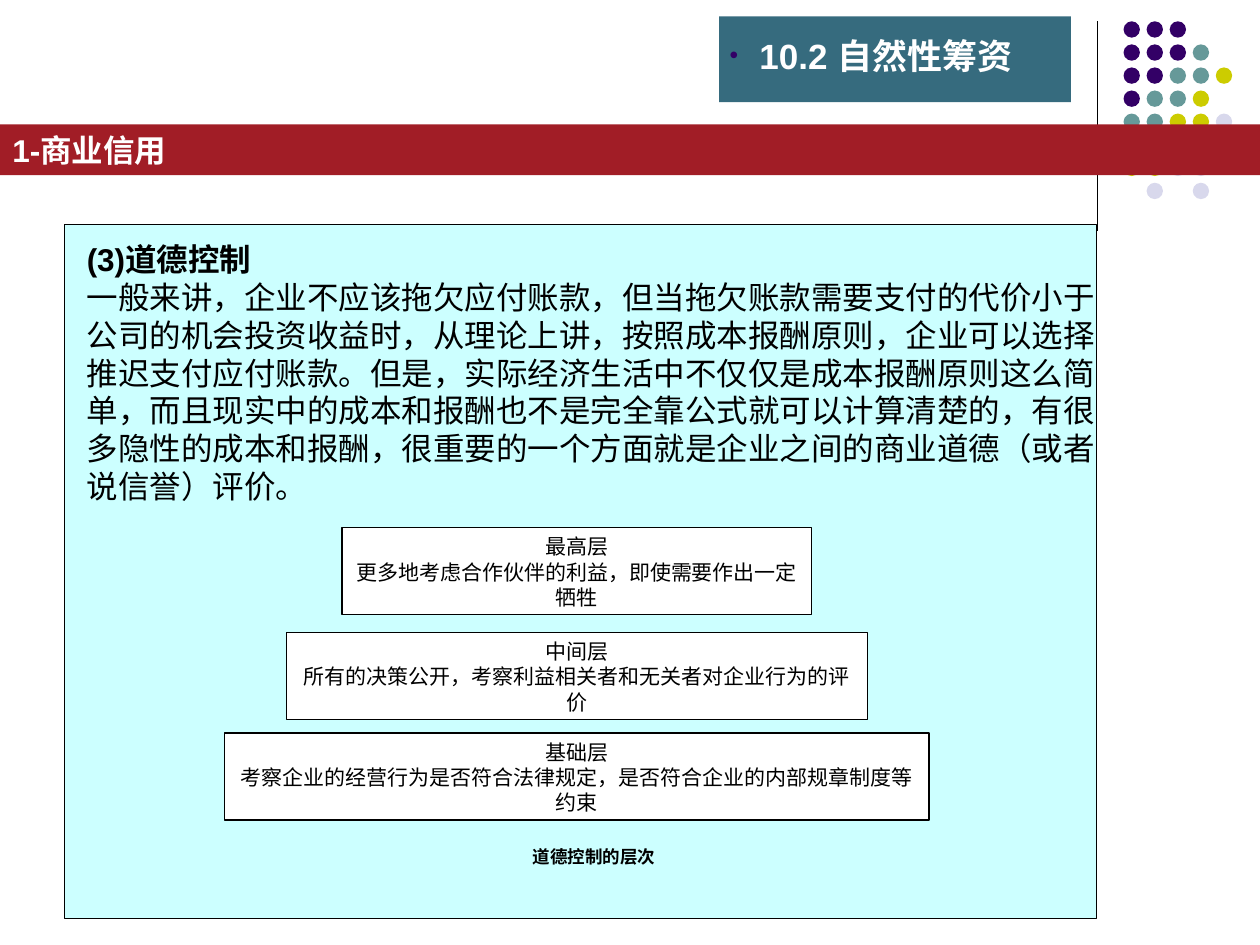
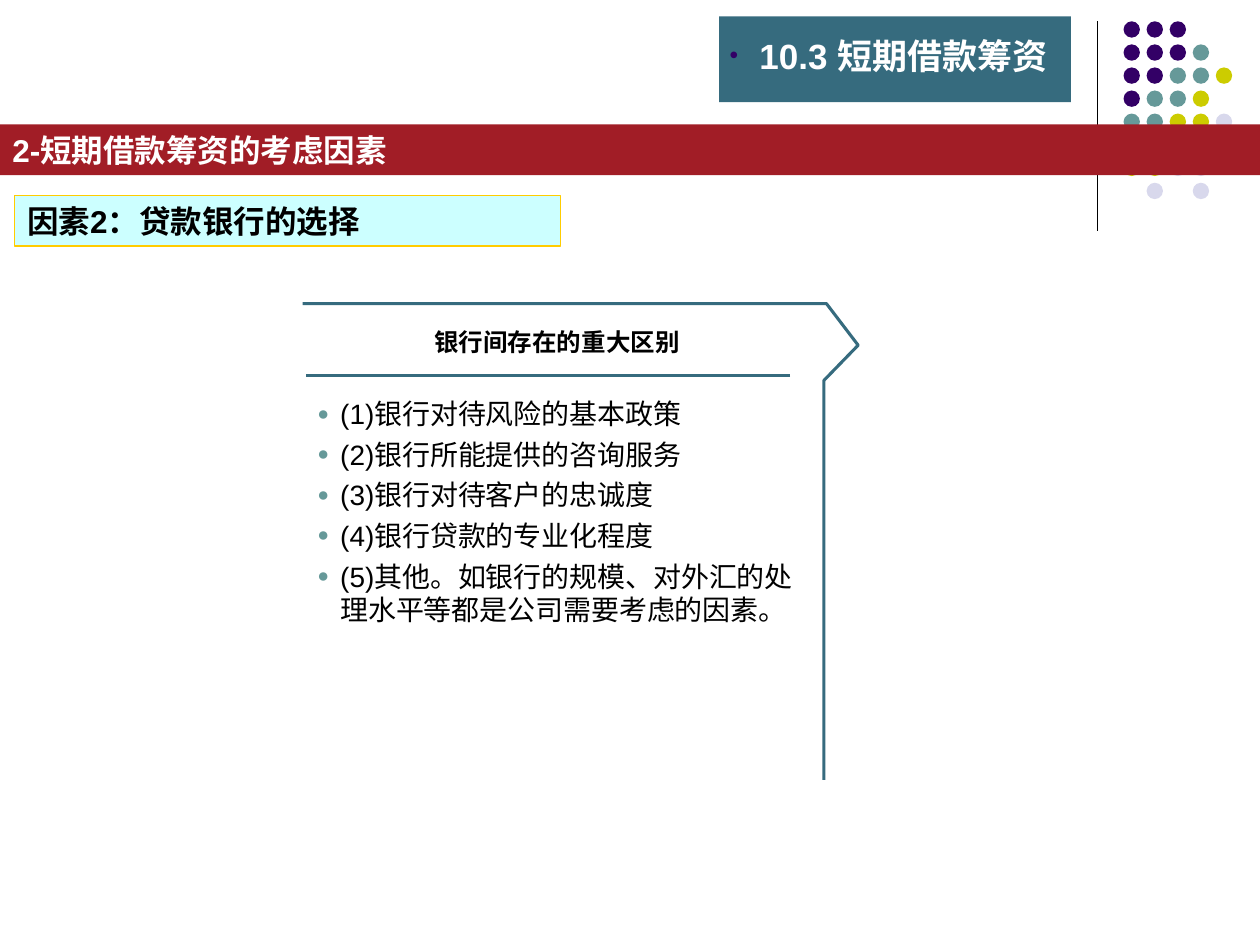
from typing import NamedTuple, Optional

from lxml.etree import SubElement
from pptx import Presentation
from pptx.dml.color import RGBColor
from pptx.enum.shapes import MSO_CONNECTOR, MSO_SHAPE
from pptx.enum.text import MSO_ANCHOR, PP_ALIGN
from pptx.oxml.ns import qn
from pptx.util import Cm, Pt

PURPLE = RGBColor(0x33, 0x00, 0x66)
TEAL = RGBColor(0x66, 0x99, 0x99)
LIME = RGBColor(0xCC, 0xCC, 0x00)
LAVENDER = RGBColor(0xD8, 0xD8, 0xEC)
CRIMSON = RGBColor(0xA1, 0x1D, 0x26)
PETROL = RGBColor(0x36, 0x6B, 0x7E)
PALE_CYAN = RGBColor(0xCC, 0xFF, 0xFF)
GOLD = RGBColor(0xFF, 0xCC, 0x00)
BLACK = RGBColor(0x00, 0x00, 0x00)
WHITE = RGBColor(0xFF, 0xFF, 0xFF)

SANS = "Arial"
SERIF = "Times New Roman"

# Corner dots: one string per row, one letter per dot
DOT_COLOURS = {"P": PURPLE, "T": TEAL, "Y": LIME, "L": LAVENDER}
DOT_ROWS = ["PPP", "PPPT", "PPTTY", "PTTY", "TTYYL", "", "YYLL", " L L"]
DOT_LEFT, DOT_TOP, DOT_STEP, DOT_SIZE = 22.65, 0.43, 0.465, 0.33


class Box(NamedTuple):
    """Position and size in centimetres."""
    left: float
    top: float
    width: float
    height: float

    def lengths(self) -> list:
        return [Cm(value) for value in self]


class Style(NamedTuple):
    size: float
    colour: RGBColor = BLACK
    bold: bool = False
    font: str = SANS
    align: PP_ALIGN = PP_ALIGN.LEFT


class Bullet(NamedTuple):
    char: str
    colour: RGBColor
    indent: float


class Level(NamedTuple):
    """One layer of the moral control pyramid."""
    name: str
    duty: str
    top: float
    width: float


BADGE = Box(14.5, 0.33, 7.09, 1.73)
BADGE_TITLE = Box(14.71, 0.69, 6.99, 0.84)
BAND = Box(0, 2.51, 25.4, 1.02)
BADGE_STYLE = Style(20, WHITE, bold=True)
BAND_STYLE = Style(18, WHITE, bold=True)
HEADING_STYLE = Style(18, bold=True)
BODY_STYLE = Style(18)
LEVEL_STYLE = Style(12, font=SERIF, align=PP_ALIGN.CENTER)
CAPTION_STYLE = Style(10, bold=True, font=SERIF, align=PP_ALIGN.CENTER)
BANNER_STYLE = Style(14, bold=True, align=PP_ALIGN.CENTER)
LIST_STYLE = Style(16)

LEVEL_CENTRE, LEVEL_HEIGHT = 11.63, 1.75
LEVELS = [
    Level("最高层", "更多地考虑合作伙伴的利益，即使需要作出一定牺牲", 10.64, 9.47),
    Level("中间层", "所有的决策公开，考察利益相关者和无关者对企业行为的评价", 12.75, 11.71),
    Level("基础层", "考察企业的经营行为是否符合法律规定，是否符合企业的内部规章制度等约束",
          14.78, 14.2),
]
MORAL_CONTROL = (
    "一般来讲，企业不应该拖欠应付账款，但当拖欠账款需要支付的代价小于公司的机会投资收益时，"
    "从理论上讲，按照成本报酬原则，企业可以选择推迟支付应付账款。但是，实际经济生活中不仅仅是"
    "成本报酬原则这么简单，而且现实中的成本和报酬也不是完全靠公式就可以计算清楚的，"
    "有很多隐性的成本和报酬，很重要的一个方面就是企业之间的商业道德（或者说信誉）评价。"
)
BANK_DIFFERENCES = [
    "(1)银行对待风险的基本政策",
    "(2)银行所能提供的咨询服务",
    "(3)银行对待客户的忠诚度",
    "(4)银行贷款的专业化程度",
    "(5)其他。如银行的规模、对外汇的处理水平等都是公司需要考虑的因素。",
]
BANNER_OUTLINE = [(6.1, 6.12), (16.66, 6.12), (17.3, 6.96), (16.61, 7.67), (16.61, 15.72)]


def add_bullet(paragraph, bullet: Bullet) -> None:
    properties = paragraph._p.get_or_add_pPr()
    properties.set("marL", str(Cm(bullet.indent)))
    properties.set("indent", str(-Cm(bullet.indent)))
    colour = SubElement(properties, qn("a:buClr"))
    SubElement(colour, qn("a:srgbClr")).set("val", str(bullet.colour))
    SubElement(properties, qn("a:buSzPct")).set("val", "70000")
    SubElement(properties, qn("a:buFont")).set("typeface", SANS)
    SubElement(properties, qn("a:buChar")).set("char", bullet.char)


def write(shape, lines: list[str], styles: list[Style], bullet: Optional[Bullet] = None,
          gap: float = 0, anchor: MSO_ANCHOR = MSO_ANCHOR.TOP, inset: bool = True,
          wrap: bool = True) -> None:
    """Fill a shape with one paragraph per line, each in its own style."""
    frame = shape.text_frame
    frame.text = "\n".join(lines)
    frame.word_wrap = wrap
    frame.vertical_anchor = anchor
    if not inset:
        frame.margin_left = frame.margin_right = frame.margin_top = frame.margin_bottom = 0
    for index, (paragraph, style) in enumerate(zip(frame.paragraphs, styles)):
        if bullet:
            add_bullet(paragraph, bullet)
        if index and gap:
            paragraph.space_before = Pt(gap)
        paragraph.alignment = style.align
        for run in paragraph.runs:
            run.font.size = Pt(style.size)
            run.font.name = style.font
            run.font.bold = style.bold
            run.font.color.rgb = style.colour


def add_block(slide, box: Box, fill: RGBColor, line: Optional[RGBColor] = None,
              kind: MSO_SHAPE = MSO_SHAPE.RECTANGLE):
    block = slide.shapes.add_shape(kind, *box.lengths())
    block.shadow.inherit = False
    block.fill.solid()
    block.fill.fore_color.rgb = fill
    if line is None:
        block.line.fill.background()
    else:
        block.line.color.rgb = line
        block.line.width = Pt(0.75)
    return block


def add_text(slide, box: Box, lines: list[str], styles: list[Style], **options) -> None:
    write(slide.shapes.add_textbox(*box.lengths()), lines, styles, **options)


def add_rule(slide, start: tuple, end: tuple, colour: RGBColor, width: float) -> None:
    rule = slide.shapes.add_connector(
        MSO_CONNECTOR.STRAIGHT, *[Cm(value) for value in start + end])
    rule.line.color.rgb = colour
    rule.line.width = Pt(width)
    SubElement(rule._element.spPr, qn("a:effectLst"))


def add_frame(presentation, section: str, topic: str):
    """Add a slide with the shared corner, topic band and section badge."""
    slide = presentation.slides.add_slide(presentation.slide_layouts[6])
    add_rule(slide, (22.12, 0.43), (22.12, 4.65), BLACK, 0.75)
    for row, letters in enumerate(DOT_ROWS):
        for column, letter in enumerate(letters):
            if letter in DOT_COLOURS:
                dot = Box(DOT_LEFT + column * DOT_STEP, DOT_TOP + row * DOT_STEP,
                          DOT_SIZE, DOT_SIZE)
                add_block(slide, dot, DOT_COLOURS[letter], kind=MSO_SHAPE.OVAL)
    write(add_block(slide, BAND, CRIMSON), [topic], [BAND_STYLE])
    add_block(slide, BADGE, PETROL)
    add_text(slide, BADGE_TITLE, [section], [BADGE_STYLE], bullet=Bullet("•", PURPLE, 0.6),
             anchor=MSO_ANCHOR.MIDDLE, inset=False)
    return slide


def build_moral_control(presentation) -> None:
    slide = add_frame(presentation, "10.2 自然性筹资", "1-商业信用")
    add_block(slide, Box(1.3, 4.52, 20.81, 14.0), PALE_CYAN, BLACK)
    add_text(slide, Box(1.5, 4.72, 21.0, 5.59), ["(3)道德控制", MORAL_CONTROL],
             [HEADING_STYLE, BODY_STYLE])
    # Levels, widening downwards around one centre
    for level in LEVELS:
        box = Box(LEVEL_CENTRE - level.width / 2, level.top, level.width, LEVEL_HEIGHT)
        write(add_block(slide, box, WHITE, BLACK), [level.name, level.duty], [LEVEL_STYLE] * 2)
    add_text(slide, Box(10.49, 16.92, 2.97, 0.69), ["道德控制的层次"], [CAPTION_STYLE],
             anchor=MSO_ANCHOR.MIDDLE, wrap=False)


def build_bank_choice(presentation) -> None:
    slide = add_frame(presentation, "10.3 短期借款筹资", "2-短期借款筹资的考虑因素")
    factor = add_block(slide, Box(0.3, 3.94, 11.0, 1.02), PALE_CYAN, GOLD)
    write(factor, ["因素2：贷款银行的选择"], [HEADING_STYLE])
    # Arrow-shaped outline around the list
    points = [(Cm(x), Cm(y)) for x, y in BANNER_OUTLINE]
    builder = slide.shapes.build_freeform(*points[0])
    builder.add_line_segments(points[1:], close=False)
    outline = builder.convert_to_shape()
    outline.shadow.inherit = False
    outline.fill.background()
    outline.line.color.rgb = PETROL
    outline.line.width = Pt(1.75)
    # Heading, its underline and the list
    add_text(slide, Box(6.3, 6.6, 9.86, 0.58), ["银行间存在的重大区别"], [BANNER_STYLE],
             anchor=MSO_ANCHOR.MIDDLE, inset=False)
    add_text(slide, Box(6.4, 8.0, 10.06, 4.62), BANK_DIFFERENCES,
             [LIST_STYLE] * len(BANK_DIFFERENCES), bullet=Bullet("●", TEAL, 0.46), gap=4,
             inset=False)
    add_rule(slide, (15.93, 7.57), (6.17, 7.57), PETROL, 1.75)


def main() -> None:
    presentation = Presentation()
    presentation.slide_width, presentation.slide_height = Cm(25.4), Cm(19.05)
    build_moral_control(presentation)
    build_bank_choice(presentation)
    presentation.save("out.pptx")


if __name__ == "__main__":
    main()
